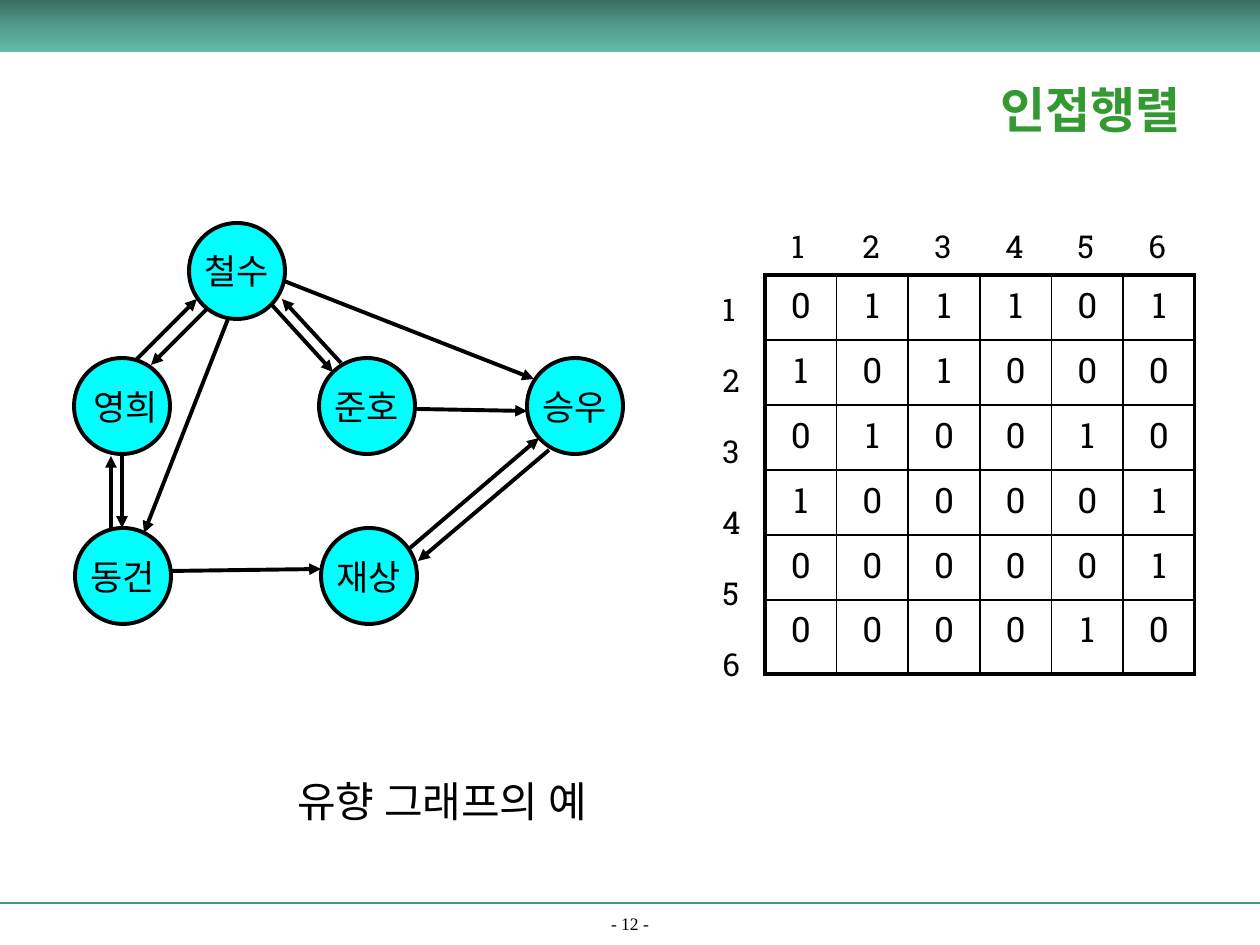
"""Build the adjacency matrix slide for a directed graph."""
from copy import deepcopy

from pptx import Presentation
from pptx.dml.color import RGBColor
from pptx.enum.shapes import MSO_CONNECTOR, MSO_SHAPE
from pptx.enum.text import MSO_ANCHOR, MSO_AUTO_SIZE, PP_ALIGN
from pptx.oxml.ns import qn
from pptx.util import Emu, Pt
from lxml.etree import SubElement, Element

COLORS = {
    "black": "000000", "node": "00FFFF", "title": "339933", "rule": "4C9282",
    "band_top": "3A6D62", "band_middle": "539C8B", "band_bottom": "62B9A5",
}
SLAB, HANGUL = "Roboto Slab", "Noto Sans CJK KR"
NODE_SIZE = 96
NODES = [
    (" 영희", 74, 358), ("철수", 189, 223), ("준호", 319, 358),
    ("동건", 75, 528), ("승우", 527, 358), ("재상", 321, 528),
]
EDGES = [
    (136, 360, 197, 299), (284, 281, 534, 379), (271, 304, 333, 372),
    (170, 571, 321, 569), (416, 409, 527, 411), (410, 548, 539, 438),
    (122, 454, 122, 528), (228, 319, 144, 533), (207, 309, 151, 365),
    (111, 528, 111, 456), (549, 450, 418, 561), (341, 363, 282, 299),
]
MATRIX = ["011101", "101000", "010010", "100001", "000001", "000010"]


def px(length):
    return Emu(round(length * 914400 / 126))


def color(name):
    return RGBColor.from_string(COLORS[name])


def write(frame, text, size, font, tint="black", align=None, bold=False):
    frame.text = text
    paragraph = frame.paragraphs[0]
    paragraph.alignment = align
    for span in paragraph.runs:
        span.font.size = Pt(size)
        span.font.name = font
        span.font.bold = bold
        span.font.color.rgb = color(tint)
        SubElement(span.font._element, qn("a:ea"), typeface=HANGUL)


def add_text(page, bounds, text, size, font, wrap=True, anchor=MSO_ANCHOR.TOP, **style):
    box = page.shapes.add_textbox(*map(px, bounds))
    frame = box.text_frame
    frame.word_wrap = wrap
    frame.auto_size = MSO_AUTO_SIZE.NONE if wrap else MSO_AUTO_SIZE.SHAPE_TO_FIT_TEXT
    frame.vertical_anchor = anchor
    write(frame, text, size, font, **style)


def add_line(shapes, ends, tint, width, arrow=False):
    line = shapes.add_connector(MSO_CONNECTOR.STRAIGHT, *map(px, ends))
    line.line.color.rgb = color(tint)
    line.line.width = Pt(width)
    if arrow:
        SubElement(line.line._get_or_add_ln(), qn("a:tailEnd"), type="triangle")
    SubElement(line._element.spPr, qn("a:effectLst"))


def add_band(page):
    band = page.shapes.add_shape(MSO_SHAPE.RECTANGLE, 0, 0, px(1260), px(52))
    band.shadow.inherit = False
    band.line.fill.background()
    band.fill.gradient()
    band.fill.gradient_angle = 270
    stops = band._element.spPr.find(qn("a:gradFill")).find(qn("a:gsLst"))
    stops.insert(1, deepcopy(stops[0]))
    names = ("band_top", "band_middle", "band_bottom")
    for index, (stop, name) in enumerate(zip(band.fill.gradient_stops, names)):
        stop.position = index / 2
        stop.color.rgb = color(name)


def add_node(shapes, name, left, top):
    node = shapes.add_shape(MSO_SHAPE.OVAL, *map(px, (left, top, NODE_SIZE, NODE_SIZE)))
    node.shadow.inherit = False
    node.fill.solid()
    node.fill.fore_color.rgb = color("node")
    node.line.color.rgb = color("black")
    node.line.width = Pt(2.25)
    node.text_frame.word_wrap = False
    node.text_frame.vertical_anchor = MSO_ANCHOR.MIDDLE
    write(node.text_frame, name, 20, HANGUL, align=PP_ALIGN.CENTER)


def set_borders(cell, outer_sides):
    properties = cell._tc.get_or_add_tcPr()
    for index, side in enumerate("LRTB"):
        width = Pt(2.25 if outer_sides[side] else 1)
        border = Element(qn(f"a:ln{side}"), w=str(width))
        fill = SubElement(border, qn("a:solidFill"))
        SubElement(fill, qn("a:srgbClr"), val=COLORS["black"])
        properties.insert(index, border)


def add_matrix(page):
    count = len(MATRIX)
    table = page.shapes.add_table(count, count, *map(px, (765, 275, 430, 399))).table
    table.first_row = table.horz_banding = False
    for row in table.rows:
        row.height = px(65)
    table.rows[count - 1].height = px(74)
    for column in table.columns:
        column.width = px(430 / count)
    for i, values in enumerate(MATRIX):
        for j, value in enumerate(values):
            cell = table.cell(i, j)
            cell.fill.background()
            write(cell.text_frame, value, 20, SLAB, align=PP_ALIGN.CENTER)
            set_borders(cell, {"L": j == 0, "R": j == count - 1,
                               "T": i == 0, "B": i == count - 1})
    for i in range(count):
        for left, top in ((710, 284 + 71 * i), (779 + 143 * i // 2, 221)):
            add_text(page, (left, top, 42, 50), str(i + 1), 18, SLAB, wrap=False)


def add_graph(page):
    shapes = page.shapes.add_group_shape().shapes
    for node in NODES:
        add_node(shapes, *node)
    for edge in EDGES:
        add_line(shapes, edge, "black", 2.25, arrow=True)


def main():
    deck = Presentation()
    deck.slide_width, deck.slide_height = px(1260), px(945)
    page = deck.slides.add_slide(deck.slide_layouts[6])
    add_line(page.shapes, (0, 903, 1260, 903), "rule", 1.5)
    add_text(page, (0, 912, 1260, 28), "- 12 -", 10, "Times New Roman",
             anchor=MSO_ANCHOR.BOTTOM, align=PP_ALIGN.CENTER)
    add_band(page)
    add_matrix(page)
    add_graph(page)
    add_text(page, (285, 769, 343, 63), "유향 그래프의 예", 24, "Arial", wrap=False)
    add_text(page, (921, 53, 339, 112), "인접행렬", 28, "Times New Roman", tint="title",
             anchor=MSO_ANCHOR.MIDDLE, align=PP_ALIGN.CENTER, bold=True)
    deck.save("out.pptx")


if __name__ == "__main__":
    main()
